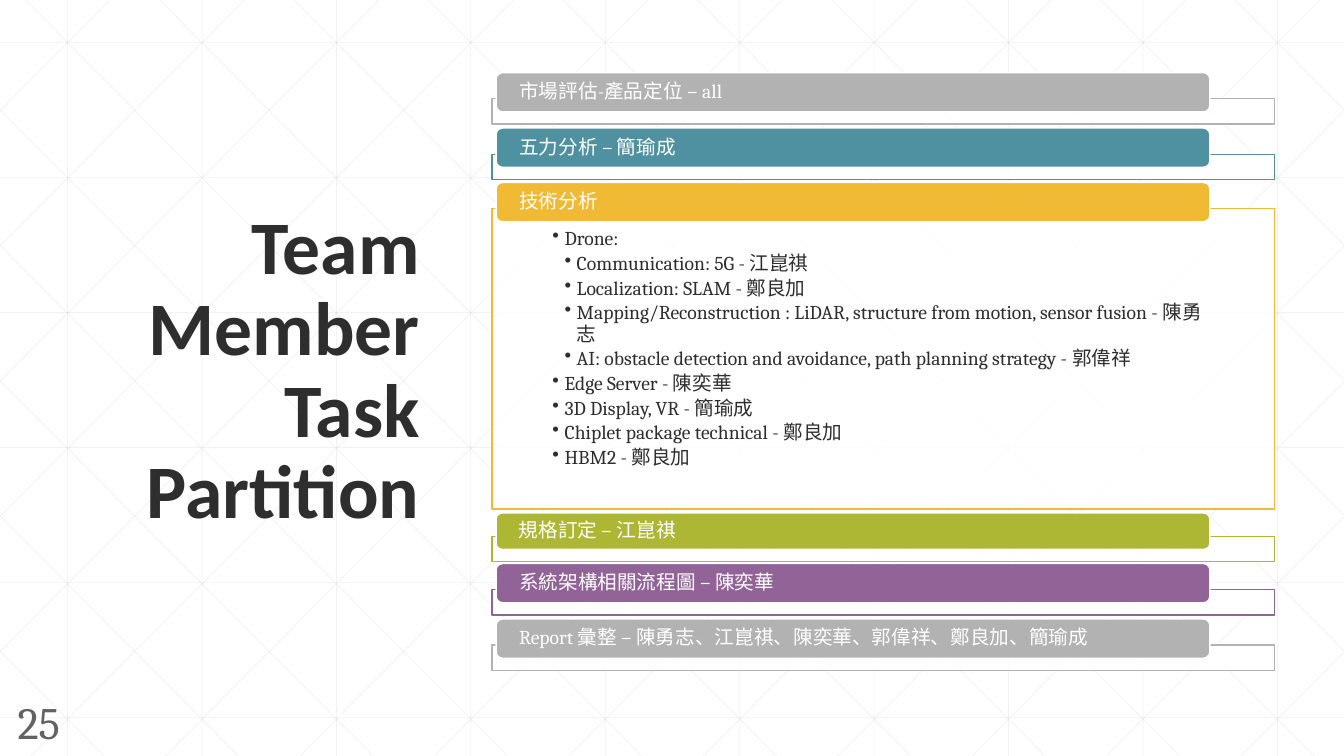
from dataclasses import dataclass

import lxml.etree
import pptx
import pptx.dml.color
import pptx.enum.shapes
import pptx.enum.text
import pptx.oxml.ns
import pptx.util
from pptx.util import Inches

ALIGN = pptx.enum.text.PP_ALIGN
ANCHOR = pptx.enum.text.MSO_ANCHOR
SHAPE = pptx.enum.shapes.MSO_SHAPE


@dataclass(frozen=True)
class Theme:
    ink: str = "2D2E2D"
    number: str = "616361"
    white: str = "FFFFFF"
    grid: str = "CACBCA"
    gray: str = "B2B2B2"
    teal: str = "4F91A1"
    amber: str = "F0BA34"
    green: str = "AEB733"
    purple: str = "926397"
    heading_font: str = "Calibri"
    body_font: str = "Cambria"
    title_size: int = 54
    number_size: int = 32
    body_size: int = 14


THEME = Theme()
WIDTH, HEIGHT = 13.33, 7.5
GRID_STEP = 4 / 3
DIAGONAL_RUN = 7.45
OVERLAP = 0.13

# Bar top, bar height, frame height, colour, label
TASKS = [
    (0.72, 0.39, 0.25, THEME.gray, "市場評估-產品定位 – all"),
    (1.27, 0.39, 0.25, THEME.teal, "五力分析 – 簡瑜成"),
    (1.81, 0.39, 2.98, THEME.amber, "技術分析"),
    (5.09, 0.36, 0.25, THEME.green, "規格訂定 – 江崑祺"),
    (5.59, 0.39, 0.25, THEME.purple, "系統架構相關流程圖 – 陳奕華"),
    (6.14, 0.39, 0.25, THEME.gray,
     "Report 彙整 – 陳勇志、江崑祺、陳奕華、郭偉祥、鄭良加、簡瑜成"),
]

# Level, text
TECHNICAL_ITEMS = [
    (1, "Drone:"),
    (2, "Communication: 5G - 江崑祺"),
    (2, "Localization: SLAM - 鄭良加"),
    (2, "Mapping/Reconstruction : LiDAR, structure from motion, sensor fusion - 陳勇志"),
    (2, "AI: obstacle detection and avoidance, path planning strategy - 郭偉祥"),
    (1, "Edge Server - 陳奕華"),
    (1, "3D Display, VR - 簡瑜成"),
    (1, "Chiplet package technical - 鄭良加"),
    (1, "HBM2 - 鄭良加"),
]


def rgb(color):
    return pptx.dml.color.RGBColor.from_string(color)


def add_node(parent, tag, **attributes):
    return lxml.etree.SubElement(parent, pptx.oxml.ns.qn(tag), **attributes)


def set_alpha(fill, color, percent):
    """Give a solid fill its colour and opacity."""
    fill.solid()
    fill.fore_color.rgb = rgb(color)
    node = fill._xPr.find(".//" + pptx.oxml.ns.qn("a:srgbClr"))
    add_node(node, "a:alpha", val=str(percent * 1000))


def add_grid_line(page, x1, y1, x2, y2):
    line = page.shapes.add_connector(
        pptx.enum.shapes.MSO_CONNECTOR.STRAIGHT,
        Inches(x1), Inches(y1), Inches(x2), Inches(y2))
    line.line.width = pptx.util.Pt(0.5)
    set_alpha(line.line.fill, THEME.grid, 23)
    add_node(line._element.spPr, "a:effectLst")


def add_diagonal(page, top_x, run):
    """Draw a line from the top edge to the bottom edge, cut at the slide's sides."""
    ends = []
    for x in (top_x, top_x + run):
        inside = min(max(x, 0), WIDTH)
        ends += [inside, (inside - top_x) / run * HEIGHT]
    add_grid_line(page, *ends)


def add_grid(page):
    for column in range(10):
        x = 0.67 + column * GRID_STEP
        add_grid_line(page, x, 0, x, HEIGHT)
    for row in range(6):
        y = 0.42 + row * 1.34
        add_grid_line(page, 0, y, WIDTH, y)
    for index in range(15):
        add_diagonal(page, 0.25 + (index - 5) * GRID_STEP, DIAGONAL_RUN)
        add_diagonal(page, 1.09 + index * GRID_STEP, -DIAGONAL_RUN)


def add_run(para, text, size, color, font=THEME.body_font, bold=False):
    span = para.add_run()
    span.text = text
    span.font.size = pptx.util.Pt(size)
    span.font.name = font
    span.font.bold = bold
    span.font.color.rgb = rgb(color)


def set_frame(frame, anchor, margins=(0.1, 0.05, 0.1, 0.05)):
    frame.word_wrap = True
    frame.vertical_anchor = anchor
    (frame.margin_left, frame.margin_top,
     frame.margin_right, frame.margin_bottom) = map(Inches, margins)


def add_text(page, place, text, align, **style):
    box = page.shapes.add_textbox(*map(Inches, place))
    set_frame(box.text_frame, ANCHOR.MIDDLE)
    para = box.text_frame.paragraphs[0]
    para.alignment = align
    para.line_spacing = 0.9
    add_run(para, text, **style)


def add_box(page, kind, place, line_color):
    box = page.shapes.add_shape(kind, *map(Inches, place))
    box.shadow.inherit = False
    box.line.color.rgb = rgb(line_color)
    box.line.width = pptx.util.Pt(1)
    return box


def add_task(page, top, height, frame_height, color, label):
    """Draw an outlined frame with a coloured label bar over its top edge."""
    frame = add_box(page, SHAPE.RECTANGLE,
                    (4.88, top + height - OVERLAP, 7.76, frame_height), color)
    set_alpha(frame.fill, THEME.white, 90)
    bar = add_box(page, SHAPE.ROUNDED_RECTANGLE, (4.92, top, 7.08, height), THEME.white)
    bar.fill.solid()
    bar.fill.fore_color.rgb = rgb(color)
    set_frame(bar.text_frame, ANCHOR.MIDDLE, (0.21, 0, 0.21, 0))
    para = bar.text_frame.paragraphs[0]
    para.alignment = ALIGN.LEFT
    para.line_spacing = 0.9
    add_run(para, label, THEME.body_size, THEME.white)
    return frame


def add_bullets(box, items):
    frame = box.text_frame
    set_frame(frame, ANCHOR.TOP, (0.6, 0.2, 0.6, 0.11))
    for index, (level, text) in enumerate(items):
        para = frame.add_paragraph() if index else frame.paragraphs[0]
        para.level = level
        para.alignment = ALIGN.LEFT
        para.line_spacing = 0.9
        para.space_after = pptx.util.Pt(2.5)
        properties = para._p.get_or_add_pPr()
        properties.set("marL", str(Inches(0.12 * level)))
        properties.set("indent", str(Inches(-0.12)))
        add_node(properties, "a:buChar", char="•")
        add_run(para, text, THEME.body_size, THEME.ink)


def main():
    deck = pptx.Presentation()
    deck.slide_width, deck.slide_height = Inches(WIDTH), Inches(HEIGHT)
    page = deck.slides.add_slide(deck.slide_layouts[6])
    add_grid(page)
    add_text(page, (0.57, 0.68, 3.69, 6.02), "Team Member Task Partition", ALIGN.RIGHT,
             size=THEME.title_size, color=THEME.ink, font=THEME.heading_font, bold=True)
    frames = [add_task(page, *task) for task in TASKS]
    add_bullets(frames[2], TECHNICAL_ITEMS)
    add_text(page, (0, 6.88, 0.77, 0.62), "25", ALIGN.CENTER,
             size=THEME.number_size, color=THEME.number)
    deck.save("out.pptx")


if __name__ == "__main__":
    main()
